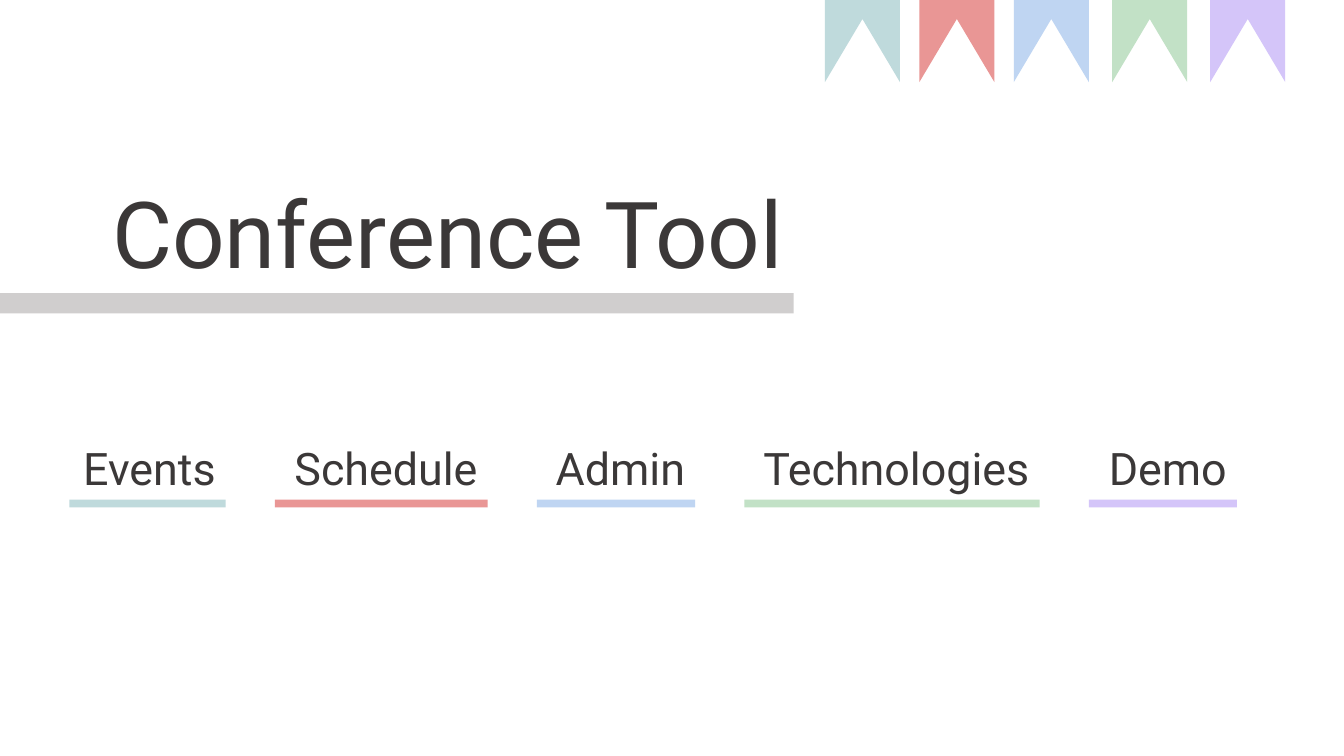
from dataclasses import dataclass

from pptx import Presentation
from pptx.dml.color import RGBColor
from pptx.enum.shapes import MSO_SHAPE
from pptx.enum.text import MSO_ANCHOR, MSO_AUTO_SIZE, PP_ALIGN
from pptx.shapes.autoshape import Shape
from pptx.slide import Slide
from pptx.util import Cm, Pt

RECTANGLE = MSO_SHAPE.RECTANGLE
TOP = MSO_ANCHOR.TOP
GROW = MSO_AUTO_SIZE.SHAPE_TO_FIT_TEXT
RIGHT = PP_ALIGN.RIGHT
TITLE_ONLY_LAYOUT = 5


@dataclass(frozen=True)
class Theme:
    font: str = "Roboto"
    title_size: int = 66
    topic_size: int = 32
    text: str = "3B3838"
    title_bar: str = "D0CECE"
    teal: str = "BFDADC"
    red: str = "E99695"
    blue: str = "BFD5F2"
    green: str = "C2E1C6"
    violet: str = "D4C5F9"


@dataclass(frozen=True)
class Topic:
    """An agenda topic and the pennant that shares its colour (cm)."""
    label: str
    color: str
    width: float
    pennant_left: float


THEME = Theme()
TOPICS = [
    Topic("Events", THEME.teal, 3.94, 20.79),
    Topic("Schedule", THEME.red, 5.36, 23.17),
    Topic("Admin", THEME.blue, 3.99, 25.55),
    Topic("Technologies", THEME.green, 7.44, 28.03),
    Topic("Demo", THEME.violet, 3.73, 30.5),
]

# Layout in centimetres
TOPIC_LEFT, TOPIC_GAP = 1.75, 1.24
TOPIC_TOP, TOPIC_HEIGHT, UNDERLINE_HEIGHT = 10.97, 1.62, 0.2
PENNANT_WIDTH, PENNANT_HEIGHT, NOTCH_TOP = 1.89, 2.07, 0.48


def paint(shape: Shape, color: str) -> None:
    shape.shadow.inherit = False
    shape.fill.solid()
    shape.fill.fore_color.rgb = RGBColor.from_string(color)
    shape.line.fill.background()


def add_bar(slide: Slide, left: float, top: float, width: float,
            height: float, color: str) -> None:
    bar = slide.shapes.add_shape(RECTANGLE, Cm(left), Cm(top), Cm(width), Cm(height))
    paint(bar, color)


def write_label(shape: Shape, text: str, size: int) -> None:
    frame = shape.text_frame
    frame.text = text
    frame.word_wrap = False
    frame.auto_size = GROW
    frame.vertical_anchor = TOP
    paragraph = frame.paragraphs[0]
    paragraph.alignment = RIGHT
    font = paragraph.runs[0].font
    font.name = THEME.font
    font.size = Pt(size)
    font.color.rgb = RGBColor.from_string(THEME.text)


def add_pennant(slide: Slide, left: float, color: str) -> None:
    right = left + PENNANT_WIDTH
    middle = left + PENNANT_WIDTH / 2
    builder = slide.shapes.build_freeform(Cm(left), Cm(0))
    corners = [(right, 0), (right, PENNANT_HEIGHT), (middle, NOTCH_TOP),
               (left, PENNANT_HEIGHT)]
    builder.add_line_segments([(Cm(x), Cm(y)) for x, y in corners], close=True)
    paint(builder.convert_to_shape(), color)


def add_topic(slide: Slide, topic: Topic, left: float) -> None:
    label = slide.shapes.add_textbox(Cm(left), Cm(TOPIC_TOP), Cm(topic.width),
                                     Cm(TOPIC_HEIGHT))
    write_label(label, topic.label, THEME.topic_size)
    add_bar(slide, left, TOPIC_TOP + TOPIC_HEIGHT, topic.width,
            UNDERLINE_HEIGHT, topic.color)


presentation = Presentation()
presentation.slide_width, presentation.slide_height = Cm(33.87), Cm(19.05)
slide = presentation.slides.add_slide(presentation.slide_layouts[TITLE_ONLY_LAYOUT])

# Title with its bar
title = slide.shapes.title
title.left, title.top, title.width, title.height = Cm(1.8), Cm(4.32), Cm(18.2), Cm(3.07)
write_label(title, "Conference Tool", THEME.title_size)
add_bar(slide, 0, 7.39, 20, 0.51, THEME.title_bar)

# Pennants and underlined topics
topic_left = TOPIC_LEFT
for topic in TOPICS:
    add_pennant(slide, topic.pennant_left, topic.color)
    add_topic(slide, topic, topic_left)
    topic_left += topic.width + TOPIC_GAP

presentation.save("out.pptx")
